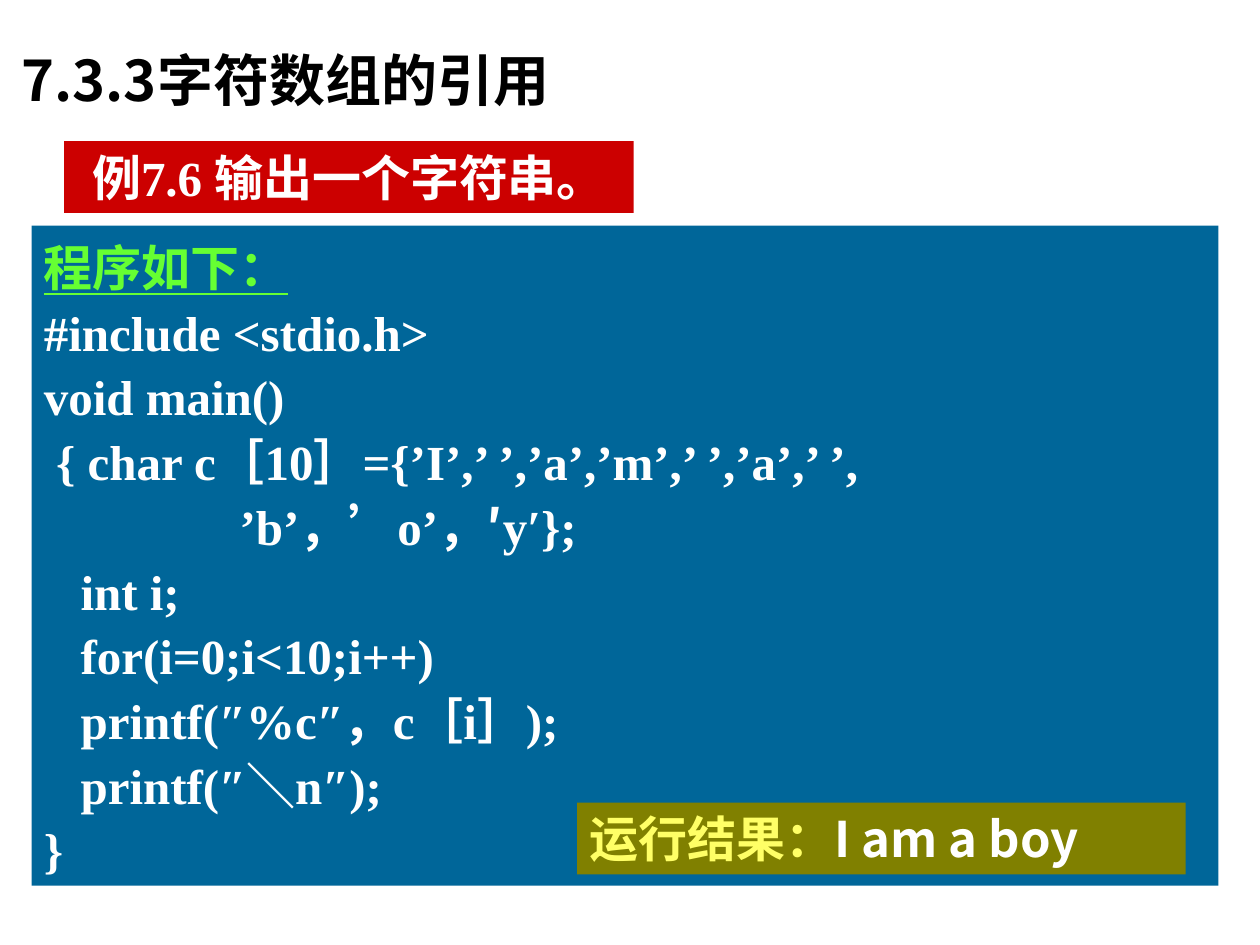
from dataclasses import dataclass

from lxml import etree
from pptx import Presentation
from pptx import util as u
from pptx.dml.color import RGBColor
from pptx.enum import shapes, text
from pptx.oxml.ns import qn


@dataclass(frozen=True)
class Theme:
    """Colours, fonts and type sizes of the slide."""
    black: str = "000000"
    white: str = "FFFFFF"
    red: str = "CC0000"
    blue: str = "006699"
    olive: str = "808000"
    green: str = "66FF33"
    yellow: str = "FFFF66"
    sans: str = "Noto Sans CJK SC"
    serif: str = "Times New Roman"
    title_size: int = 32
    body_size: int = 28


THEME = Theme()
PROGRAM = """#include <stdio.h>
void main()
 { char c［10］={’I’,’ ’,’a’,’m’,’ ’,’a’,’ ’,
                ’b’，’o’，′y′};
   int i;
   for(i=0;i<10;i++)
   printf(″%c″，c［i］);
   printf(″＼n″);
}""".split("\n")


def add_span(para, words, colour, font=THEME.sans, size=THEME.body_size, underline=False):
    """Append a bold run with its Latin and East Asian fonts."""
    span = para.add_run()
    span.text = words
    span.font.name = font
    span.font.size = u.Pt(size)
    span.font.bold = True
    span.font.underline = underline
    span.font.color.rgb = RGBColor.from_string(colour)
    latin = span.font._element.find(qn("a:latin"))
    east_asian = etree.Element(qn("a:ea"), typeface=THEME.sans)
    latin.addnext(east_asian)


def add_title(page, words):
    """Place and format the title placeholder."""
    title = page.shapes.title
    title.left, title.top = u.Inches(-0.04), u.Inches(0.21)
    title.width, title.height = u.Inches(5.75), u.Inches(0.83)
    frame = title.text_frame
    frame.auto_size = text.MSO_AUTO_SIZE.NONE
    frame.vertical_anchor = text.MSO_ANCHOR.MIDDLE
    frame.margin_left = u.Inches(0.21)
    para = frame.paragraphs[0]
    para.alignment = text.PP_ALIGN.LEFT
    add_span(para, words, THEME.black, size=THEME.title_size)


def add_panel(page, left, top, width, height, fill, wrap=True):
    """Add a borderless filled rectangle and return its text frame."""
    panel = page.shapes.add_shape(
        shapes.MSO_SHAPE.RECTANGLE,
        u.Inches(left), u.Inches(top), u.Inches(width), u.Inches(height))
    panel.shadow.inherit = False
    panel.fill.solid()
    panel.fill.fore_color.rgb = RGBColor.from_string(fill)
    panel.line.fill.background()
    frame = panel.text_frame
    frame.word_wrap = wrap
    frame.vertical_anchor = text.MSO_ANCHOR.TOP
    frame.paragraphs[0].alignment = text.PP_ALIGN.LEFT
    return frame


def add_example(page):
    """Add the heading of the example."""
    frame = add_panel(page, 0.51, 1.12, 4.52, 0.57, THEME.red, wrap=False)
    para = frame.paragraphs[0]
    para.alignment = text.PP_ALIGN.CENTER
    add_span(para, "例", THEME.white)
    add_span(para, "7.6 输", THEME.white, THEME.serif)
    add_span(para, "出一个字符串。", THEME.white)


def add_program(page):
    """Add the program listing under its caption."""
    frame = add_panel(page, 0.25, 1.79, 9.42, 5.24, THEME.blue)
    add_span(frame.paragraphs[0], "程序如下：", THEME.green, underline=True)
    for line in PROGRAM:
        para = frame.add_paragraph()
        para.alignment = text.PP_ALIGN.LEFT
        add_span(para, line, THEME.white, THEME.serif)
    for para in frame.paragraphs:
        para.line_spacing = 1.1


def add_result(page):
    """Add the output of the program."""
    para = add_panel(page, 4.58, 6.37, 4.83, 0.57, THEME.olive).paragraphs[0]
    add_span(para, "运行结果：", THEME.yellow)
    add_span(para, "I am a boy", THEME.white)


def main():
    """Build the slide and save the deck."""
    deck = Presentation()
    deck.slide_width, deck.slide_height = u.Inches(10), u.Inches(7.5)
    page = deck.slides.add_slide(deck.slide_layouts[5])
    add_title(page, "7.3.3字符数组的引用")
    add_example(page)
    add_program(page)
    add_result(page)
    deck.save("out.pptx")


if __name__ == "__main__":
    main()
